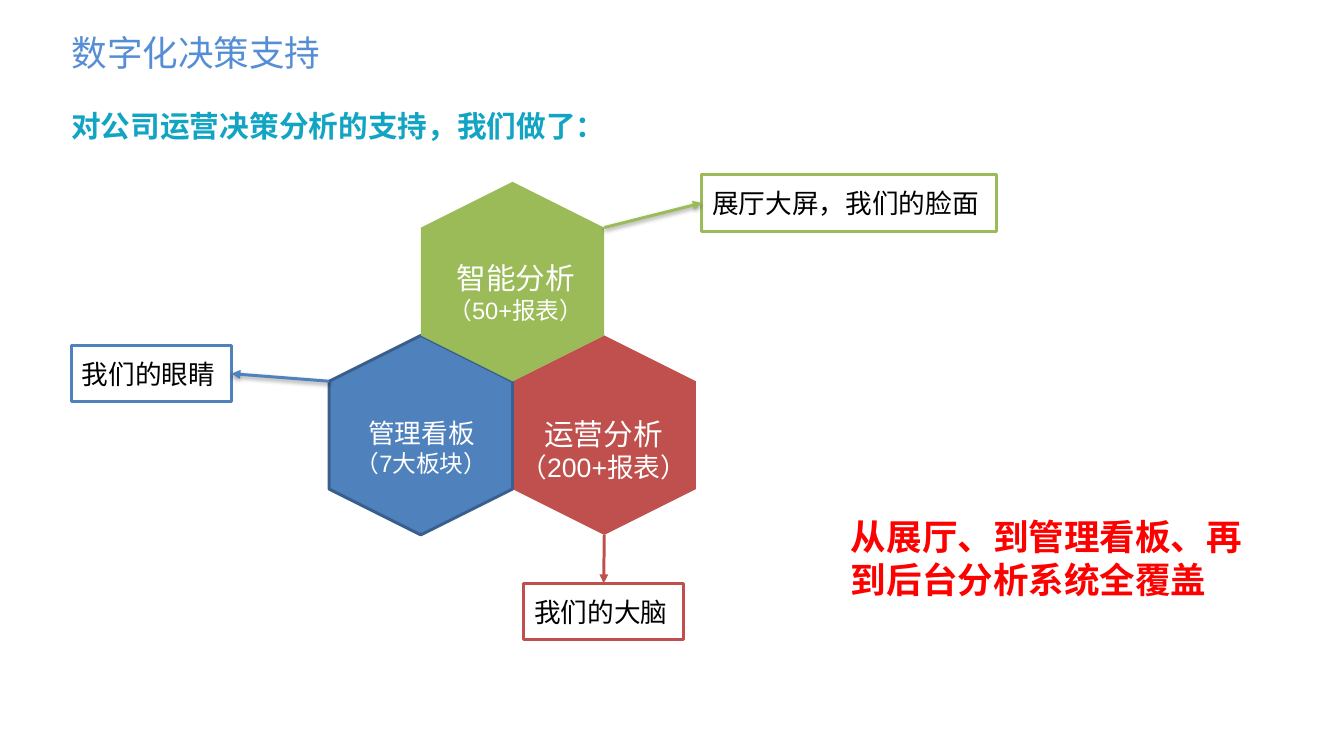
"""Build the slide on digital decision support with a honeycomb of three systems."""
from dataclasses import dataclass

import lxml.etree
import pptx
import pptx.dml.color
import pptx.enum.shapes
import pptx.enum.text
import pptx.oxml.ns
import pptx.util

SLIDE_WIDTH = pptx.util.Inches(12.6)
SLIDE_HEIGHT = pptx.util.Inches(7.09)
COLUMNS, ROWS = 126, 71
HEX_WIDTH, HEX_HEIGHT = 17.2, 18.73
HEX_SHOULDER = HEX_WIDTH / 4
HONEYCOMB_X, HONEYCOMB_Y = 48.05, 26.44
CALLOUT_HEIGHT = 5.3
ALIGN = pptx.enum.text.PP_ALIGN
ANCHOR = pptx.enum.text.MSO_ANCHOR


@dataclass(frozen=True)
class Theme:
    """Colours, fonts and type sizes of the slide."""
    title: str = "558ED5"
    lead: str = "11A4C3"
    conclusion: str = "FF0000"
    green: str = "9BBB59"
    blue: str = "4F81BD"
    blue_edge: str = "3A5F8C"
    red: str = "C0504D"
    light: str = "FFFFFF"
    dark: str = "000000"
    chinese: str = "Noto Sans CJK SC"
    latin: str = "Arial"
    callout: str = "Calibri"
    heading_size: int = 24
    large: int = 20
    medium: int = 18
    small: int = 16
    line_width: int = 2


THEME = Theme()


def col(count):
    """Return the length of a number of grid columns."""
    return round(SLIDE_WIDTH * count / COLUMNS)


def row(count):
    """Return the length of a number of grid rows."""
    return round(SLIDE_HEIGHT * count / ROWS)


def rgb(colour):
    """Return a colour object for a hex string."""
    return pptx.dml.color.RGBColor.from_string(colour)


def write(shape, lines, font, colour, bold=False, align=ALIGN.LEFT,
          anchor=ANCHOR.TOP, wrap=True):
    """Fill a shape with (text, size) lines."""
    frame = shape.text_frame
    frame.word_wrap = wrap
    frame.auto_size = pptx.enum.text.MSO_AUTO_SIZE.NONE
    frame.vertical_anchor = anchor
    for index, (text, size) in enumerate(lines):
        paragraph = frame.add_paragraph() if index else frame.paragraphs[0]
        paragraph.alignment = align
        run = paragraph.add_run()
        run.text = text
        run.font.name = font
        run.font.size = pptx.util.Pt(size)
        run.font.bold = bold
        run.font.color.rgb = rgb(colour)
        east_asian = lxml.etree.SubElement(
            run.font._element, pptx.oxml.ns.qn("a:ea"))
        east_asian.set("typeface", THEME.chinese)


def add_title(slide, text):
    """Place the slide title in the title placeholder."""
    title = slide.shapes.title
    title.left, title.top = col(5.7), row(2.4)
    title.width, title.height = col(25.6), row(5)
    write(title, [(text, THEME.heading_size)], THEME.chinese, THEME.title,
          wrap=False)


def add_text(slide, box, lines, font, colour, **style):
    """Add a text box at a grid place."""
    left, top, width, height = box
    shape = slide.shapes.add_textbox(
        col(left), row(top), col(width), row(height))
    write(shape, lines, font, colour, **style)


def hex_centre(half_steps, level):
    """Return the centre of a honeycomb cell in columns and rows."""
    return (HONEYCOMB_X + half_steps * HEX_WIDTH / 2,
            HONEYCOMB_Y + level * (HEX_HEIGHT - HEX_SHOULDER))


def add_hexagon(slide, centre, colour, edge=None):
    """Add an upright hexagon around a centre."""
    width, height = row(HEX_HEIGHT), col(HEX_WIDTH)
    hexagon = slide.shapes.add_shape(
        pptx.enum.shapes.MSO_SHAPE.HEXAGON, col(centre[0]) - width // 2,
        row(centre[1]) - height // 2, width, height)
    hexagon.rotation = 270
    hexagon.shadow.inherit = False
    hexagon.fill.solid()
    hexagon.fill.fore_color.rgb = rgb(colour)
    if edge:
        hexagon.line.color.rgb = rgb(edge)
        hexagon.line.width = pptx.util.Pt(THEME.line_width)
    else:
        hexagon.line.fill.background()


def add_callout(slide, left, top, width, text, colour):
    """Add an outlined callout and return it."""
    callout = slide.shapes.add_shape(
        pptx.enum.shapes.MSO_SHAPE.RECTANGLE,
        col(left), row(top), col(width), row(CALLOUT_HEIGHT))
    callout.shadow.inherit = False
    callout.fill.solid()
    callout.fill.fore_color.rgb = rgb(THEME.light)
    callout.line.color.rgb = rgb(colour)
    callout.line.width = pptx.util.Pt(THEME.line_width)
    write(callout, [(text, THEME.medium)], THEME.callout, THEME.dark,
          anchor=ANCHOR.MIDDLE)
    return callout


def add_arrow(slide, corner, callout, site, colour, shadow):
    """Lead an arrow from a hexagon corner to a side of a callout."""
    x, y = col(corner[0]), row(corner[1])
    arrow = slide.shapes.add_connector(
        pptx.enum.shapes.MSO_CONNECTOR.STRAIGHT, x, y, x, y)
    arrow.end_connect(callout, site)
    arrow.line.color.rgb = rgb(colour)
    arrow.line.width = pptx.util.Pt(THEME.line_width)
    qn = pptx.oxml.ns.qn
    head = lxml.etree.SubElement(arrow.line._get_or_add_ln(), qn("a:tailEnd"))
    head.set("type", "triangle")
    effects = lxml.etree.SubElement(arrow._element.spPr, qn("a:effectLst"))
    if shadow:
        outer = lxml.etree.SubElement(
            effects, qn("a:outerShdw"), blurRad=str(pptx.util.Pt(3.1)),
            dist=str(pptx.util.Pt(1.6)), dir="5400000", rotWithShape="0")
        black = lxml.etree.SubElement(outer, qn("a:srgbClr"), val=THEME.dark)
        lxml.etree.SubElement(black, qn("a:alpha"), val="38000")


def main():
    """Build and save the slide."""
    deck = pptx.Presentation()
    deck.slide_width, deck.slide_height = SLIDE_WIDTH, SLIDE_HEIGHT
    slide = deck.slides.add_slide(deck.slide_layouts.get_by_name("Title Only"))
    add_title(slide, "数字化决策支持")
    add_text(slide, (5.7, 9.61, 58.5, 4.4),
             [("对公司运营决策分析的支持，我们做了：", THEME.large)],
             THEME.chinese, THEME.lead, bold=True)
    add_text(slide, (78.8, 47.87, 40, 9.1),
             [("从展厅、到管理看板、再到后台分析系统全覆盖", THEME.heading_size)],
             THEME.latin, THEME.conclusion, bold=True)

    analysis, board, operations = (
        hex_centre(0, 0), hex_centre(-1, 1), hex_centre(1, 1))
    add_hexagon(slide, operations, THEME.red)
    add_hexagon(slide, board, THEME.blue, THEME.blue_edge)
    add_hexagon(slide, analysis, THEME.green)

    captions = [
        ((39.8, 23.93, 17.1, 7.1), ("智能分析", THEME.large),
         ("（50+报表）", THEME.small)),
        ((28.4, 38.65, 22.2, 6.7), ("管理看板", THEME.medium),
         ("（7大板块）", THEME.small)),
        ((44.9, 38.55, 23.4, 7.4), ("运营分析", THEME.large),
         ("（200+报表）", THEME.medium)),
    ]
    for box, *lines in captions:
        add_text(slide, box, lines, THEME.latin, THEME.light,
                 align=ALIGN.CENTER)

    half = HEX_WIDTH / 2
    shoulder = HEX_HEIGHT / 2 - HEX_SHOULDER
    callouts = [
        (65.8, 16.42, 27.6, "展厅大屏，我们的脸面", THEME.green,
         (analysis[0] + half, analysis[1] - shoulder), 1, True),
        (6.7, 32.45, 15, "我们的眼睛", THEME.blue,
         (board[0] - half, board[1] - shoulder), 3, True),
        (49.1, 54.78, 15, "我们的大脑", THEME.red,
         (operations[0], operations[1] + HEX_HEIGHT / 2), 0, False),
    ]
    for left, top, width, text, colour, corner, site, shadow in callouts:
        callout = add_callout(slide, left, top, width, text, colour)
        add_arrow(slide, corner, callout, site, colour, shadow)
    deck.save("out.pptx")


if __name__ == "__main__":
    main()
